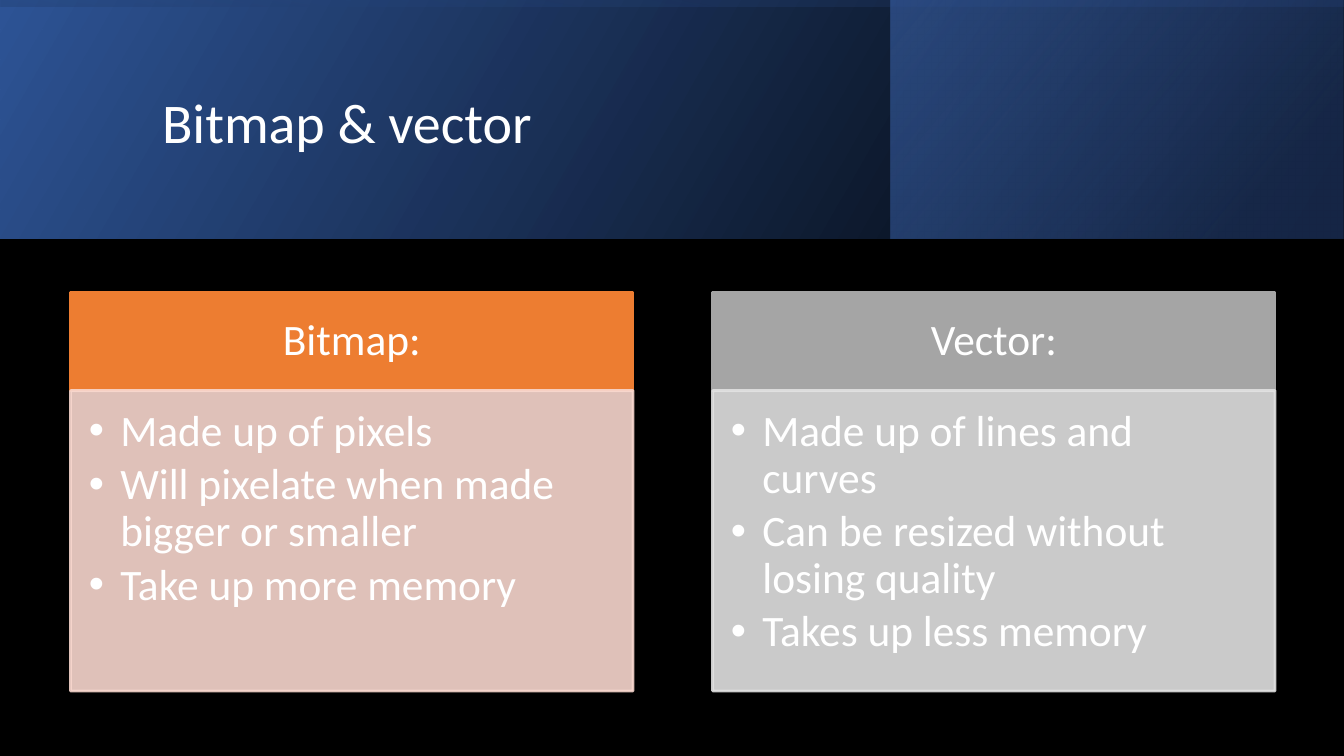
"""Build the slide that compares bitmap and vector graphics."""
from dataclasses import dataclass

import lxml.etree
import pptx
import pptx.dml.color
import pptx.enum.shapes
import pptx.enum.text
import pptx.oxml.ns
import pptx.util

Pt = pptx.util.Pt
qn = pptx.oxml.ns.qn
Align = pptx.enum.text.PP_ALIGN
Anchor = pptx.enum.text.MSO_ANCHOR

SLIDE_WIDTH, SLIDE_HEIGHT = 960, 540
BANNER_HEIGHT = 170.64
FONT = "Calibri"
WHITE = "FFFFFF"
CARD_WIDTH, CARD_TOP = 401.76, 208.8
HEADER_HEIGHT, BODY_HEIGHT = 70.2, 214.56
BULLET_INDENT = 22.5


@dataclass(frozen=True)
class Stop:
    position: int
    color: str
    opacity: int


@dataclass(frozen=True)
class BannerLayer:
    left: float
    top: float
    width: float
    height: float
    angle: int
    stops: tuple[Stop, ...]
    rotation: int = 0


@dataclass(frozen=True)
class Card:
    left: float
    heading: str
    points: tuple[str, ...]
    header_color: str
    body_color: str


BANNER = (
    BannerLayer(0, 0, SLIDE_WIDTH, BANNER_HEIGHT, 330,
                (Stop(0, "000000", 96), Stop(100, "2F5597", 100))),
    BannerLayer(636.48, 0, 322.8, BANNER_HEIGHT, 320,
                (Stop(19, "203864", 68), Stop(100, "4472C4", 48))),
    BannerLayer((SLIDE_WIDTH - BANNER_HEIGHT) / 2, (BANNER_HEIGHT - SLIDE_WIDTH) / 2,
                BANNER_HEIGHT, SLIDE_WIDTH, 350,
                (Stop(23, "2F5597", 16), Stop(99, "000000", 45)), rotation=270),
)
CARDS = (
    Card(50.4, "Bitmap:",
         ("Made up of pixels", "Will pixelate when made bigger or smaller",
          "Take up more memory"), "ED7D31", "F8D7CE"),
    Card(509.04, "Vector:",
         ("Made up of lines and curves", "Can be resized without losing quality",
          "Takes up less memory"), "A5A5A5", "E1E1E1"),
)


def rgb(color: str) -> pptx.dml.color.RGBColor:
    """Turn a hex string into a colour."""
    return pptx.dml.color.RGBColor.from_string(color)


def add_rectangle(slide, left: float, top: float, width: float, height: float):
    """Add a rectangle without a shadow."""
    shape = slide.shapes.add_shape(
        pptx.enum.shapes.MSO_SHAPE.RECTANGLE, Pt(left), Pt(top), Pt(width), Pt(height))
    shape.shadow.inherit = False
    return shape


def add_banner_layer(slide, layer: BannerLayer) -> None:
    """Draw one mirrored rectangle with a translucent gradient."""
    shape = add_rectangle(slide, layer.left, layer.top, layer.width, layer.height)
    shape.rotation = layer.rotation
    shape.line.fill.background()
    shape.element.spPr.find(qn("a:xfrm")).set("flipH", "1")
    shape.fill.gradient()
    gradient = shape.element.spPr.find(qn("a:gradFill"))
    stop_list = gradient.find(qn("a:gsLst"))
    for old_stop in list(stop_list):
        stop_list.remove(old_stop)
    for stop in layer.stops:
        entry = lxml.etree.SubElement(stop_list, qn("a:gs"), pos=str(stop.position * 1000))
        color = lxml.etree.SubElement(entry, qn("a:srgbClr"), val=stop.color)
        lxml.etree.SubElement(color, qn("a:alpha"), val=str(stop.opacity * 1000))
    direction = gradient.find(qn("a:lin"))
    direction.set("ang", str(layer.angle * 60000))
    direction.set("scaled", "0")


def add_panel(slide, left: float, top: float, height: float, color: str, opacity: int = 100):
    """Draw one part of a card, with fill and outline in the same colour."""
    shape = add_rectangle(slide, left, top, CARD_WIDTH, height)
    shape.fill.solid()
    shape.fill.fore_color.rgb = rgb(color)
    shape.line.color.rgb = rgb(color)
    shape.line.width = Pt(2)
    if opacity < 100:
        for element in shape.element.spPr.iter(qn("a:srgbClr")):
            lxml.etree.SubElement(element, qn("a:alpha"), val=str(opacity * 1000))
    return shape


def write_text(shape, *texts: str, size: float = 31, color: str = WHITE,
               align=Align.LEFT, anchor=Anchor.MIDDLE, bullets: bool = False,
               space_after: float = 0,
               margins: tuple[float, float, float, float] = (7.2, 3.6, 7.2, 3.6)) -> None:
    """Write one paragraph per text into a shape."""
    frame = shape.text_frame
    frame.word_wrap = True
    frame.vertical_anchor = anchor
    (frame.margin_left, frame.margin_top,
     frame.margin_right, frame.margin_bottom) = map(Pt, margins)
    for index, text in enumerate(texts):
        paragraph = frame.add_paragraph() if index else frame.paragraphs[0]
        paragraph.text = text
        paragraph.alignment = align
        paragraph.line_spacing = 0.9
        paragraph.space_after = Pt(space_after)
        if bullets:
            properties = paragraph._p.get_or_add_pPr()
            properties.set("marL", str(Pt(BULLET_INDENT)))
            properties.set("indent", str(-Pt(BULLET_INDENT)))
            lxml.etree.SubElement(properties, qn("a:buFont"), typeface="Arial")
            lxml.etree.SubElement(properties, qn("a:buChar"), char="•")
        font = paragraph.runs[0].font
        font.name = FONT
        font.size = Pt(size)
        font.color.rgb = rgb(color)


def add_card(slide, card: Card) -> None:
    """Draw a card with its heading and bullet points."""
    header = add_panel(slide, card.left, CARD_TOP, HEADER_HEIGHT, card.header_color)
    write_text(header, card.heading, align=Align.CENTER, margins=(17.3, 10, 17.3, 10))
    body = add_panel(slide, card.left, CARD_TOP + HEADER_HEIGHT, BODY_HEIGHT,
                     card.body_color, opacity=90)
    write_text(body, *card.points, anchor=Anchor.TOP, bullets=True,
               space_after=4.65, margins=(13, 13, 17.3, 19.5))


def main() -> None:
    """Build and save the presentation."""
    presentation = pptx.Presentation()
    presentation.slide_width = Pt(SLIDE_WIDTH)
    presentation.slide_height = Pt(SLIDE_HEIGHT)
    slide = presentation.slides.add_slide(presentation.slide_layouts[6])
    slide.background.fill.solid()
    slide.background.fill.fore_color.rgb = rgb("000000")
    for layer in BANNER:
        add_banner_layer(slide, layer)
    title = slide.shapes.add_textbox(Pt(108.72), Pt(27.36), Pt(765.36), Pt(123.84))
    write_text(title, "Bitmap & vector", size=40)
    for card in CARDS:
        add_card(slide, card)
    presentation.save("out.pptx")


if __name__ == "__main__":
    main()
